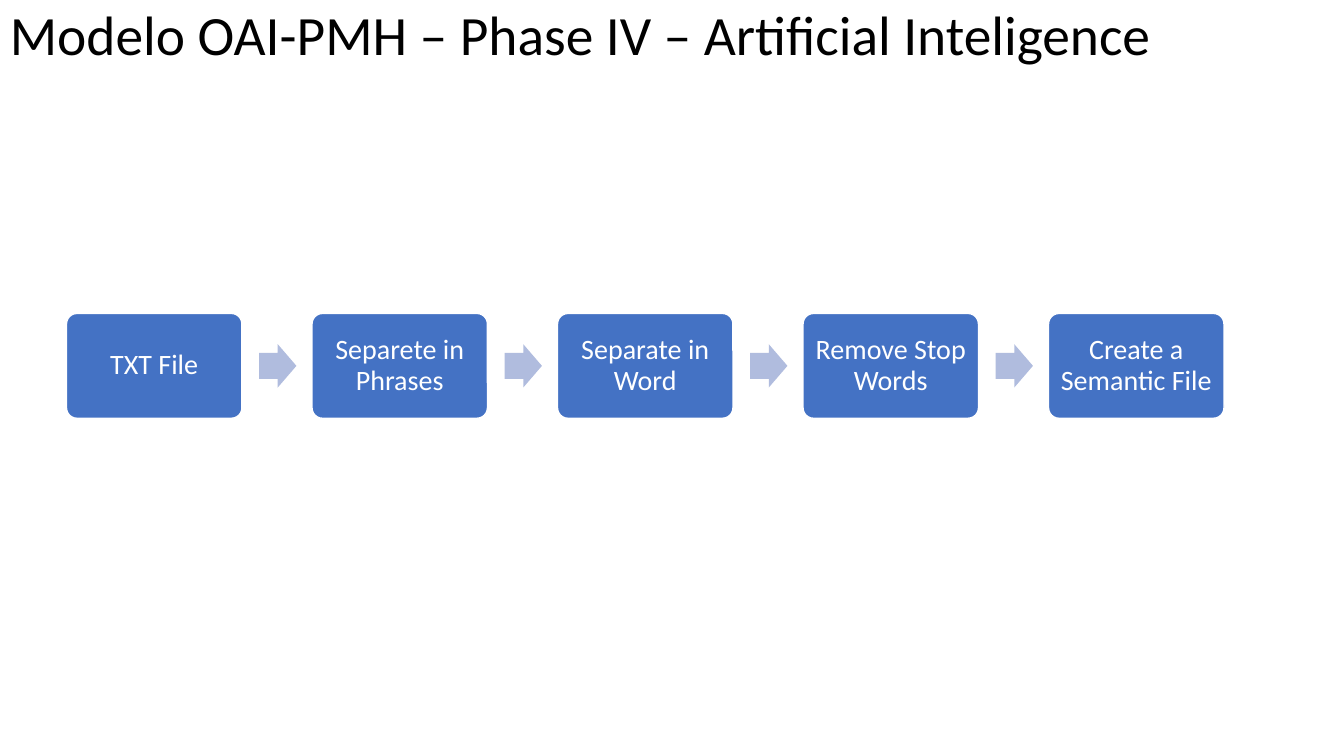
from pptx import Presentation
from pptx.dml.color import RGBColor
from pptx.enum.shapes import MSO_SHAPE
from pptx.enum.text import MSO_ANCHOR, PP_ALIGN
from pptx.util import Inches, Pt

ROUNDED, ARROW = MSO_SHAPE.ROUNDED_RECTANGLE, MSO_SHAPE.RIGHT_ARROW
MIDDLE = MSO_ANCHOR.MIDDLE
LEFT, CENTER = PP_ALIGN.LEFT, PP_ALIGN.CENTER
FONT = "Calibri"
COLORS = {"title": "000000", "step": "4472C4", "arrow": "B0BCDE", "white": "FFFFFF"}
STEPS = ["TXT File", "Separete in Phrases", "Separate in Word",
         "Remove Stop Words", "Create a Semantic File"]


def color(name):
    """Return the named palette colour."""
    return RGBColor.from_string(COLORS[name])


def write(frame, text, size, color_name, align):
    """Fill a text frame with one vertically centred paragraph."""
    frame.word_wrap = True
    frame.vertical_anchor = MIDDLE
    paragraph = frame.paragraphs[0]
    paragraph.text = text
    paragraph.alignment = align
    paragraph.line_spacing = 0.9
    paragraph.font.name = FONT
    paragraph.font.size = Pt(size)
    paragraph.font.color.rgb = color(color_name)


def add_block(slide, preset, box, fill, adjustments):
    """Add a flat filled preset shape."""
    block = slide.shapes.add_shape(preset, *map(Inches, box))
    block.shadow.inherit = False
    block.fill.solid()
    block.fill.fore_color.rgb = color(fill)
    block.line.fill.background()
    for index, value in enumerate(adjustments):
        block.adjustments[index] = value
    return block


def add_title(slide, box, text):
    """Add the slide title."""
    title = slide.shapes.add_textbox(*map(Inches, box))
    write(title.text_frame, text, 39.6, "title", LEFT)


def add_process(slide, box, steps):
    """Spread the steps evenly across the box, with an arrow in each gap."""
    left, top, width, height = box
    step_width, arrow_width, arrow_height = 1.74, 0.37, 0.43
    arrow_offset = step_width + 0.17
    arrow_top = top + (height - arrow_height) / 2
    pitch = (width - step_width) / (len(steps) - 1)
    for index, label in enumerate(steps):
        x = left + index * pitch
        if index:
            arrow_box = (x - pitch + arrow_offset, arrow_top, arrow_width, arrow_height)
            add_block(slide, ARROW, arrow_box, "arrow", [0.6, 0.5])
        step = add_block(slide, ROUNDED, (x, top, step_width, height), "step", [0.1])
        step.line.color.rgb = color("white")
        step.line.width = Pt(1)
        frame = step.text_frame
        frame.margin_left = frame.margin_right = Inches(0.08)
        frame.margin_top = frame.margin_bottom = Inches(0.08)
        write(frame, label, 20, "white", CENTER)


def main():
    """Build and save the slide."""
    deck = Presentation()
    deck.slide_width, deck.slide_height = Inches(13.33), Inches(7.5)
    slide = deck.slides.add_slide(deck.slide_layouts[6])
    add_title(slide, (0, 0, 13.33, 0.74),
              "Modelo OAI-PMH – Phase IV – Artificial Inteligence")
    add_process(slide, (0.66, 3.11, 11.48, 1.04), STEPS)
    deck.save("out.pptx")


main()
